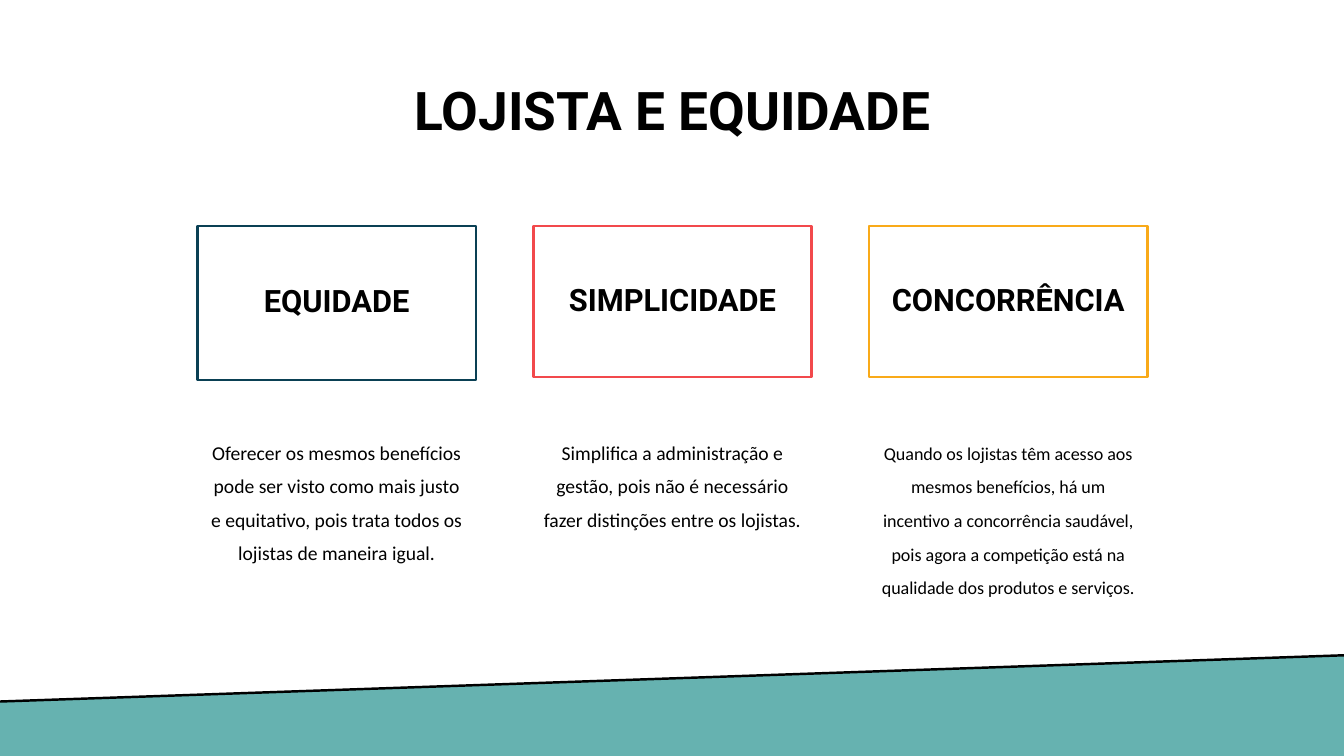
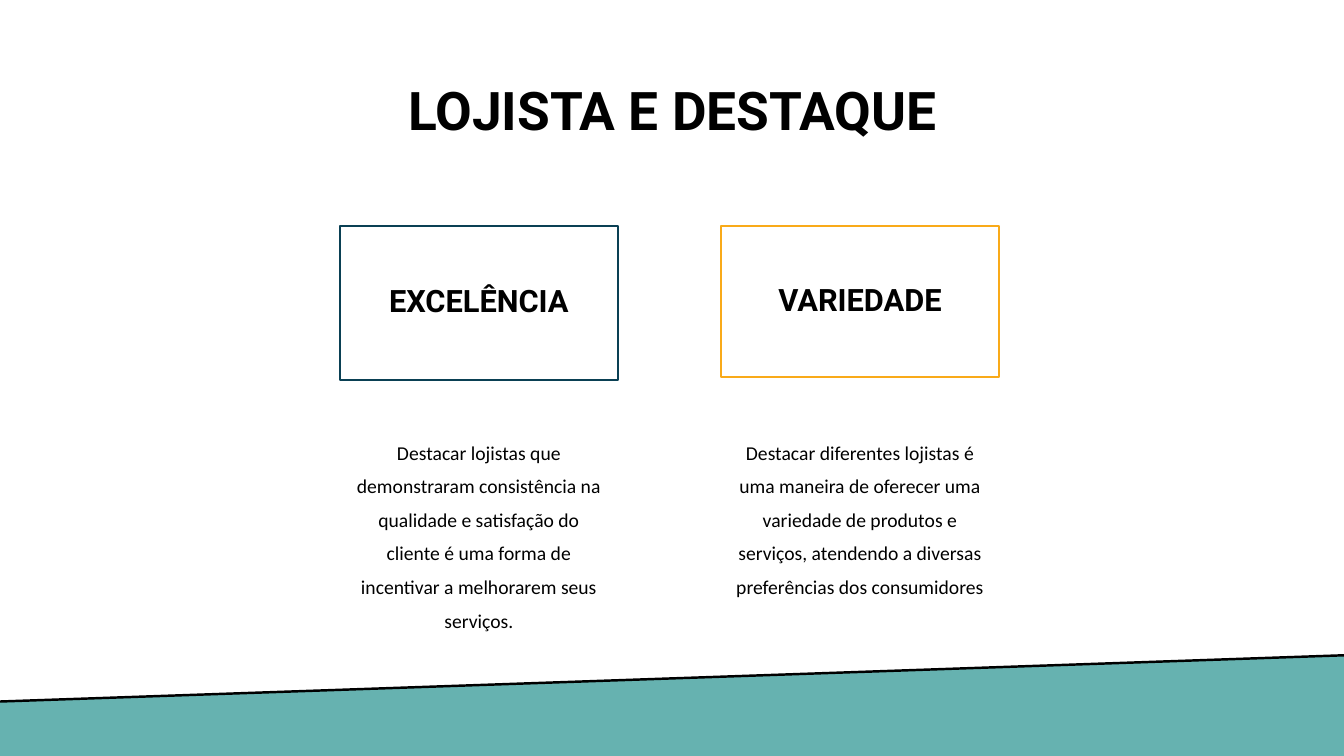
from pptx import Presentation
from pptx.dml.color import RGBColor
from pptx.enum.shapes import MSO_CONNECTOR, MSO_SHAPE
from pptx.enum.text import MSO_ANCHOR, PP_ALIGN
from pptx.oxml.ns import qn
from pptx.util import Inches, Pt
from lxml import etree

NAVY, RED, AMBER = "0A4054", "F2494C", "F9AA19"
TEAL, BLACK, WHITE = "66B2B0", "000000", "FFFFFF"


def rgb(value):
    return RGBColor.from_string(value)


class Deck:
    HEAD_FONT, BODY_FONT = "Roboto", "Calibri"
    LINE = Pt(1.75)
    BOX_TOP, BODY_TOP = 2.24, 4.22
    COL_WIDTH, BODY_HEIGHT = 2.76, 2.19

    def __init__(self):
        self.prs = Presentation()
        self.prs.slide_width = Inches(13.33)
        self.prs.slide_height = Inches(7.5)
        self.slide = None

    def add_slide(self, title):
        self.slide = self.prs.slides.add_slide(self.prs.slide_layouts[6])
        fill = self.slide.background.fill
        fill.solid()
        fill.fore_color.rgb = rgb(WHITE)
        self.band()
        self.title(title)

    def band(self):
        left, right, low, high = -0.01, 13.35, 6.96, 6.5
        corners = [(right, high), (right, 7.5), (0, 7.53)]
        fb = self.slide.shapes.build_freeform(Inches(left), Inches(low))
        fb.add_line_segments([(Inches(x), Inches(y)) for x, y in corners])
        sp = fb.convert_to_shape()
        sp.shadow.inherit = False
        sp.fill.solid()
        sp.fill.fore_color.rgb = rgb(TEAL)
        sp.line.fill.background()
        edge = self.slide.shapes.add_connector(
            MSO_CONNECTOR.STRAIGHT,
            Inches(right), Inches(high), Inches(left), Inches(low))
        edge.line.color.rgb = rgb(BLACK)
        edge.line.width = self.LINE
        etree.SubElement(edge._element.spPr, qn("a:effectLst"))

    def add_text(self, sp, text, font, size, bold, anchor, spacing, before=0):
        tf = sp.text_frame
        tf.word_wrap = True
        tf.vertical_anchor = anchor
        p = tf.paragraphs[0]
        p.alignment = PP_ALIGN.CENTER
        p.line_spacing = spacing
        p.space_before = Pt(before)
        r = p.add_run()
        r.text = text
        r.font.name = font
        r.font.size = Pt(size)
        r.font.bold = bold
        r.font.color.rgb = rgb(BLACK)

    def heading(self, sp, text, size):
        self.add_text(sp, text, self.HEAD_FONT, size, True,
                      MSO_ANCHOR.MIDDLE, 0.9)

    def title(self, text):
        sp = self.slide.shapes.add_textbox(
            Inches(0.92), Inches(0.4), Inches(11.5), Inches(1.45))
        self.heading(sp, text, 38)

    def box(self, left, height, color, text):
        sp = self.slide.shapes.add_shape(
            MSO_SHAPE.RECTANGLE, Inches(left), Inches(self.BOX_TOP),
            Inches(self.COL_WIDTH), Inches(height))
        sp.shadow.inherit = False
        sp.fill.background()
        sp.line.color.rgb = rgb(color)
        sp.line.width = self.LINE
        self.heading(sp, text, 22)

    def body(self, left, text, size):
        sp = self.slide.shapes.add_textbox(
            Inches(left), Inches(self.BODY_TOP),
            Inches(self.COL_WIDTH), Inches(self.BODY_HEIGHT))
        self.add_text(sp, text, self.BODY_FONT, size, False,
                      MSO_ANCHOR.TOP, Pt(24), 10)

    def columns(self, left, step, items):
        for i, (color, name, text, size) in enumerate(items):
            x = left + i * step
            self.box(x, 1.5 if i else 1.53, color, name)
            self.body(x, text, size)


def main():
    deck = Deck()

    deck.add_slide("LOJISTA E EQUIDADE")
    deck.columns(1.96, 3.33, [
        (NAVY, "EQUIDADE",
         "Oferecer os mesmos benefícios pode ser visto como mais justo e "
         "equitativo, pois trata todos os lojistas de maneira igual.", 14),
        (RED, "SIMPLICIDADE",
         "Simplifica a administração e gestão, pois não é necessário fazer "
         "distinções entre os lojistas.", 14),
        (AMBER, "CONCORRÊNCIA",
         "Quando os lojistas têm acesso aos mesmos benefícios, há um "
         "incentivo a concorrência saudável, pois agora a competição está na "
         "qualidade dos produtos e serviços.", 12.9),
    ])

    deck.add_slide("LOJISTA E DESTAQUE")
    deck.columns(3.37, 3.78, [
        (NAVY, "EXCELÊNCIA",
         "Destacar lojistas que demonstraram consistência na qualidade e "
         "satisfação do cliente é uma forma de incentivar a melhorarem seus "
         "serviços.", 14),
        (AMBER, "VARIEDADE",
         "Destacar diferentes lojistas é uma maneira de oferecer uma "
         "variedade de produtos e serviços, atendendo a diversas "
         "preferências dos consumidores", 14),
    ])

    deck.prs.save("out.pptx")


if __name__ == "__main__":
    main()
